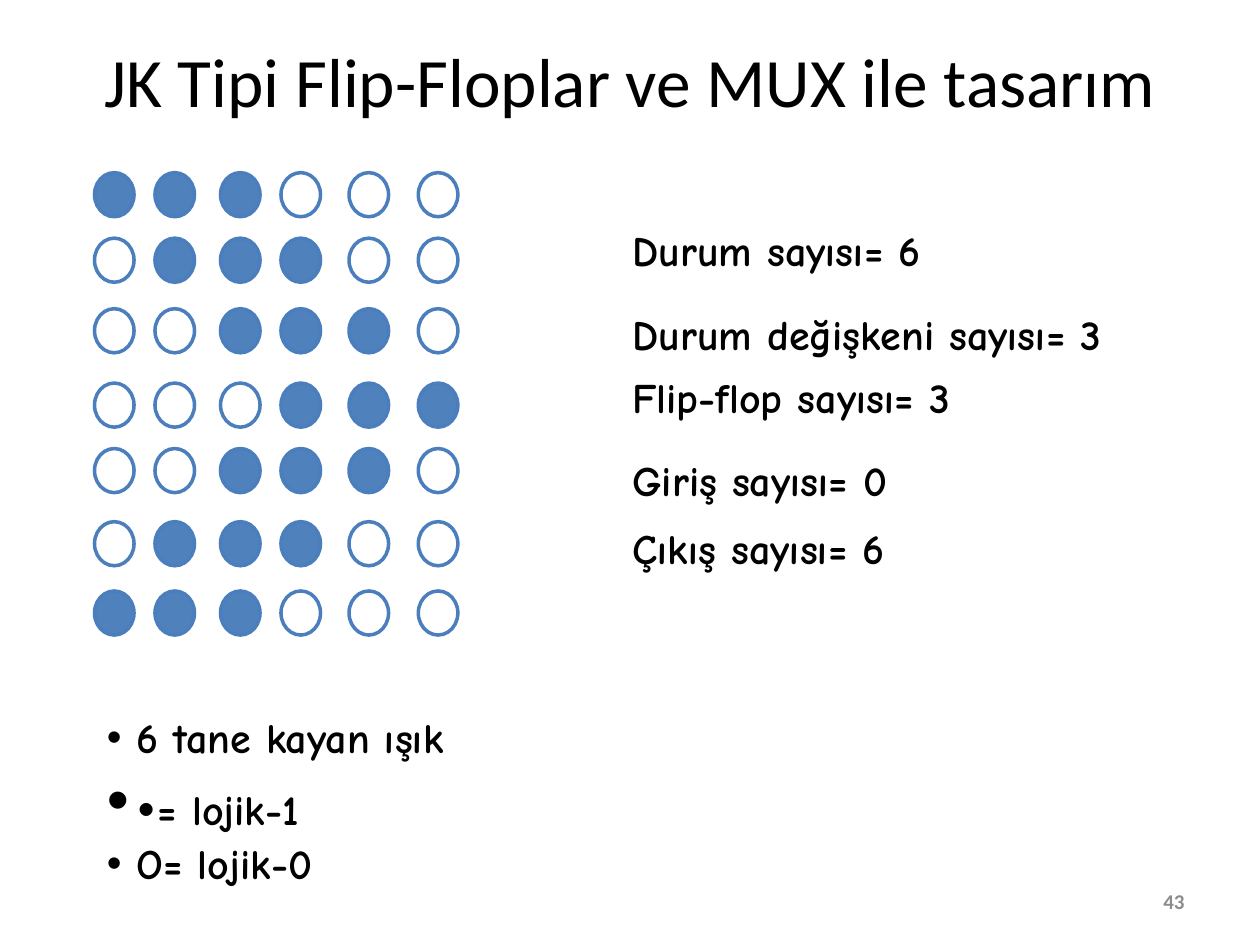
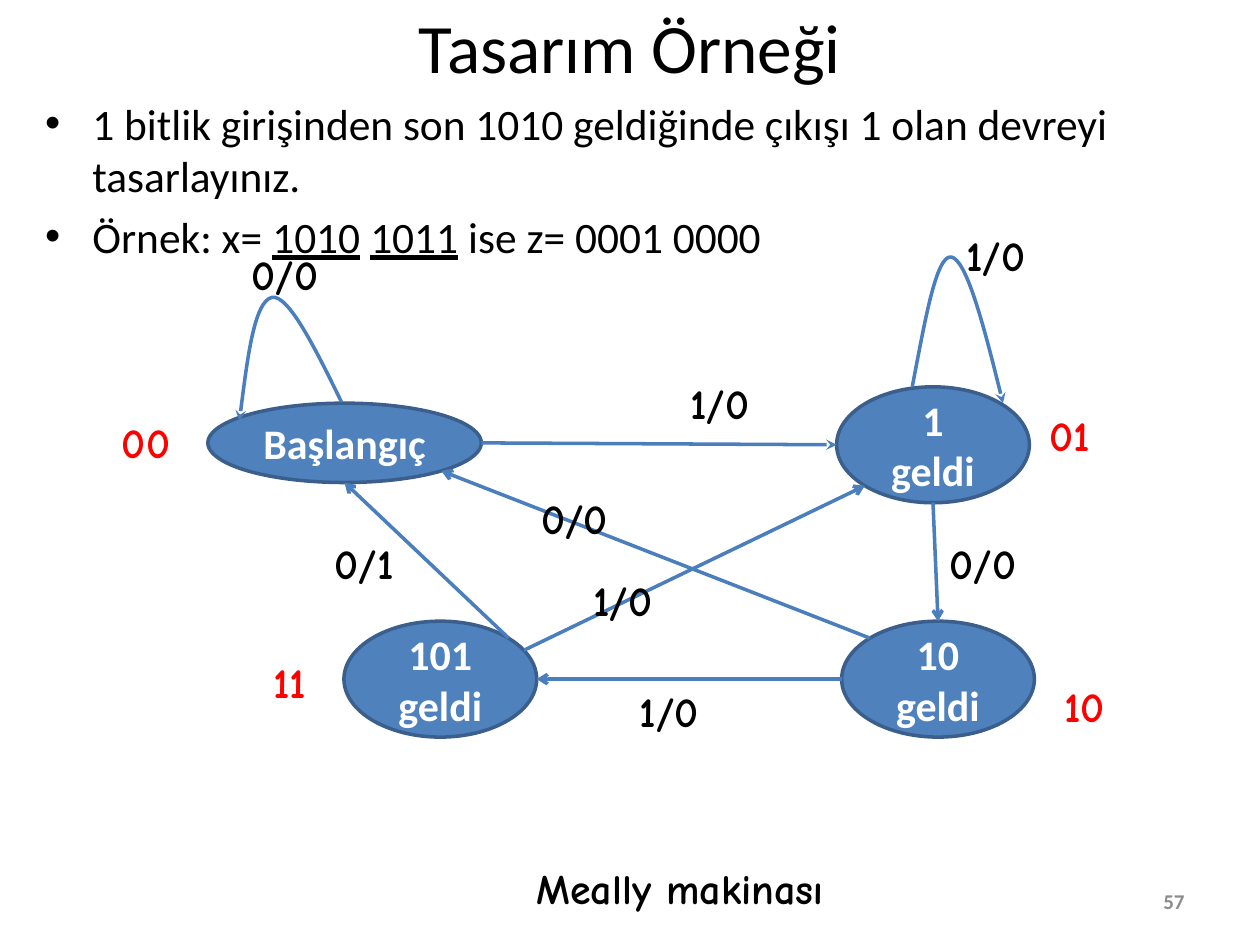
from lxml import etree
from pptx import Presentation
from pptx.dml.color import RGBColor
from pptx.enum import shapes, text
from pptx.oxml import ns
from pptx.util import Pt

HUES = {"ink": "000000", "page": "8C8C8C", "fill": "4F81BD", "line": "4B7EBC",
        "edge": "3A5F8C", "pale": "FFFFFF", "code": "FF0000"}
HEAD = {"name": "Calibri", "size": Pt(39.6)}
BODY = {"name": "Calibri", "size": Pt(24.8)}
HAND = {"name": "Comic Neue", "size": Pt(24), "bold": True}
NODE = {"name": "Calibri", "size": Pt(24), "bold": True}
PAGE = {"name": "Calibri", "size": Pt(12), "bold": True}
ALIGN = text.PP_ALIGN
MID = {"vertical_anchor": text.MSO_ANCHOR.MIDDLE, "word_wrap": True}
SNUG = {"word_wrap": False, "auto_size": text.MSO_AUTO_SIZE.SHAPE_TO_FIT_TEXT}
TOP, LEFT, BELOW, RIGHT = 0, 2, 4, 6
UPLEFT, LOWLEFT, LOWRIGHT, UPRIGHT = 1, 3, 5, 7


def style(item, values):
    for key, value in values.items():
        setattr(item, key, value)


def tint(color, hue):
    color.rgb = RGBColor.from_string(HUES[hue])


def ink(font, values, hue="ink"):
    style(font, values)
    tint(font.color, hue)


def sub(parent, tag, **values):
    return etree.SubElement(parent, ns.qn(tag), values)


def write(shape, words, font, hue="ink", align=ALIGN.LEFT, frame=MID):
    style(shape.text_frame, frame)
    shape.text_frame.text = words
    para = shape.text_frame.paragraphs[0]
    para.alignment = align
    ink(para.runs[0].font, font, hue)


def box(slide, x, y, w, h):
    return slide.shapes.add_textbox(Pt(x), Pt(y), Pt(w), Pt(h))


def label(slide, x, y, w, words, hue="ink"):
    write(box(slide, x, y, w, 36), words, HAND, hue, frame=SNUG)


def start(deck, title, high, page):
    slide = deck.slides.add_slide(deck.slide_layouts[5])
    head = slide.shapes.title
    style(head, {"left": Pt(36), "top": Pt(0.72), "width": Pt(648), "height": Pt(high)})
    write(head, title, HEAD, align=ALIGN.CENTER)
    write(box(slide, 516.24, 500.4, 167.76, 28.8), page, PAGE, "page", ALIGN.RIGHT)
    return slide


def bullets(slide, x, y, w, h, rows, font, indent, gap):
    frame = box(slide, x, y, w, h).text_frame
    frame.word_wrap = True
    for i, row in enumerate(rows):
        para = frame.add_paragraph() if i else frame.paragraphs[0]
        props = para._p.get_or_add_pPr()
        style_in = {"marL": Pt(indent), "indent": -Pt(indent)}
        for key, value in style_in.items():
            props.set(key, str(value))
        if i:
            para.space_before = Pt(gap)
        sub(props, "a:buFont", typeface="Arial")
        sub(props, "a:buChar", char="•")
        for words, extra in row:
            run = para.add_run()
            run.text = words
            ink(run.font, {**font, **extra})


def oval(slide, x, y, w, h, fill, edge):
    shape = slide.shapes.add_shape(shapes.MSO_SHAPE.OVAL, Pt(x), Pt(y), Pt(w), Pt(h))
    shape.shadow.inherit = False
    if fill:
        shape.fill.solid()
        tint(shape.fill.fore_color, fill)
    else:
        shape.fill.background()
    shape.line.width = Pt(2)
    tint(shape.line.color, edge)
    return shape


def lamps(slide, x, y):
    cols = [0, 34.56, 72, 106.56, 145.44, 185.04]
    rows = [0, 37.44, 77.76, 120.24, 157.68, 199.44, 239.04]
    firsts = [0, 1, 2, 3, 2, 1, 0]
    for first, dy in zip(firsts, rows):
        for i, dx in enumerate(cols):
            lit = "fill" if first <= i < first + 3 else None
            oval(slide, x + dx, y + dy, 22.6, 25.2, lit, "line")


def facts(slide, x, y):
    rows = [(0, 202, "Durum sayısı= 6"), (48.24, 318, "Durum değişkeni sayısı= 3"),
            (84.24, 230, "Flip-flop sayısı= 3"), (131.76, 183, "Giriş sayısı= 0"),
            (170.64, 183, "Çıkış sayısı= 6")]
    for dy, w, words in rows:
        label(slide, x, y + dy, w, words)


def pen(shape, tip):
    shape.line.width = Pt(2)
    tint(shape.line.color, "line")
    sub(shape.line._get_or_add_ln(), "a:tailEnd", type=tip)


def site(node, spot):
    dx, dy = [(0.5, 0), (0.146, 0.146), (0, 0.5), (0.146, 0.854),
              (0.5, 1), (0.854, 0.854), (1, 0.5), (0.854, 0.146)][spot]
    return int(node.left + dx * node.width), int(node.top + dy * node.height)


def link(slide, tip, end, spot, source, origin=None):
    begin = (Pt(source[0]), Pt(source[1])) if origin is None else site(source, origin)
    line = slide.shapes.add_connector(
        shapes.MSO_CONNECTOR.STRAIGHT, *begin, *site(end, spot))
    pen(line, tip)
    sub(line._element.spPr, "a:effectLst")
    joins = line._element.nvCxnSpPr.cNvCxnSpPr
    if origin is not None:
        sub(joins, "a:stCxn", id=str(source.shape_id), idx=str(origin))
    sub(joins, "a:endCxn", id=str(end.shape_id), idx=str(spot))


def loop(slide, x, y, points):
    spots = [(Pt(x + dx), Pt(y + dy)) for dx, dy in points]
    build = slide.shapes.build_freeform(*spots[0])
    build.add_line_segments(spots[1:], close=False)
    shape = build.convert_to_shape()
    shape.shadow.inherit = False
    shape.fill.background()
    pen(shape, "stealth")
    track = next(shape._element.iter(ns.qn("a:path")))
    steps = track.findall(ns.qn("a:lnTo"))
    for i in range(0, len(steps), 3):
        curve = sub(track, "a:cubicBezTo")
        for step in steps[i:i + 3]:
            curve.append(step[0])
            track.remove(step)


def graph(slide, x, y):
    def state(dx, dy, w, h, words):
        shape = oval(slide, x + dx, y + dy, w, h, "fill", "edge")
        write(shape, words, NODE, "pale", ALIGN.CENTER)
        return shape

    wide, high = 110.16, 66.24
    base = state(56.16, 102.96, 156.24, 45.36, "Başlangıç")
    one = state(415.44, 93.6, wide, high, "1 geldi")
    ten = state(418.32, 227.52, wide, high, "10 geldi")
    last = state(133.92, 227.52, wide, high, "101 geldi")

    loop(slide, x, y, [(132.48, 102.24), (117.36, 71.28), (102.24, 41.04), (92.88, 42.48),
                       (82.8, 44.64), (78.48, 79.2), (74.16, 113.04)])
    loop(slide, x, y, [(458.64, 93.6), (465.84, 56.16), (472.32, 18), (480.96, 19.44),
                       (489.6, 20.88), (500.4, 61.92), (510.48, 102.96)])
    link(slide, "stealth", one, LEFT, base, RIGHT)
    link(slide, "arrow", ten, TOP, one, BELOW)
    link(slide, "arrow", last, RIGHT, ten, LEFT)
    link(slide, "arrow", base, LOWRIGHT, ten, UPLEFT)
    link(slide, "arrow", base, BELOW, last, UPRIGHT)
    link(slide, "arrow", one, LOWLEFT, (x + 236.88, y + 244.08))

    moves = [(74.16, 10.8, "0/0"), (324.72, 84.96, "1/0"), (482.4, 0, "1/0"),
             (473.04, 176.4, "0/0"), (239.76, 150.48, "0/0"), (295.92, 260.64, "1/0"),
             (121.68, 176.4, "0/1"), (269.28, 197.28, "1/0")]
    for dx, dy, words in moves:
        label(slide, x + dx, y + dy, 56, words)
    codes = [(0, 107.28, "00"), (529.92, 102.96, "01"),
             (538.56, 257.76, "10"), (86.4, 244.08, "11")]
    for dx, dy, words in codes:
        label(slide, x + dx, y + dy, 44, words, "code")


def lights(deck):
    slide = start(deck, "JK Tipi Flip-Floplar ve MUX ile tasarım", 90, "43")
    lamps(slide, 54, 98.64)
    rows = [[("6 tane kayan ışık", {})],
            [("•", {"size": Pt(36)}), ("= lojik-1", {})],
            [("O= lojik-0", {})]]
    bullets(slide, 54, 403.2, 254.88, 126, rows, HAND, 17, 0)
    facts(slide, 354.24, 124.56)


def machine(deck):
    slide = start(deck, "Tasarım Örneği", 51.12, "57")
    line = {"underline": True}
    rows = [[("1 bitlik girişinden son 1010 geldiğinde çıkışı 1 olan devreyi tasarlayınız.", {})],
            [("Örnek: x= ", {}), ("1010", line), (" ", {}), ("1011", line),
             (" ise z= 0001 0000", {})]]
    bullets(slide, 18.72, 51.84, 648, 86.4, rows, BODY, 27, 5)
    graph(slide, 62.64, 127.44)
    label(slide, 299.52, 489.6, 197, "Meally makinası")


def main():
    deck = Presentation()
    style(deck, {"slide_width": Pt(720), "slide_height": Pt(540)})
    lights(deck)
    machine(deck)
    deck.save("out.pptx")


if __name__ == "__main__":
    main()
